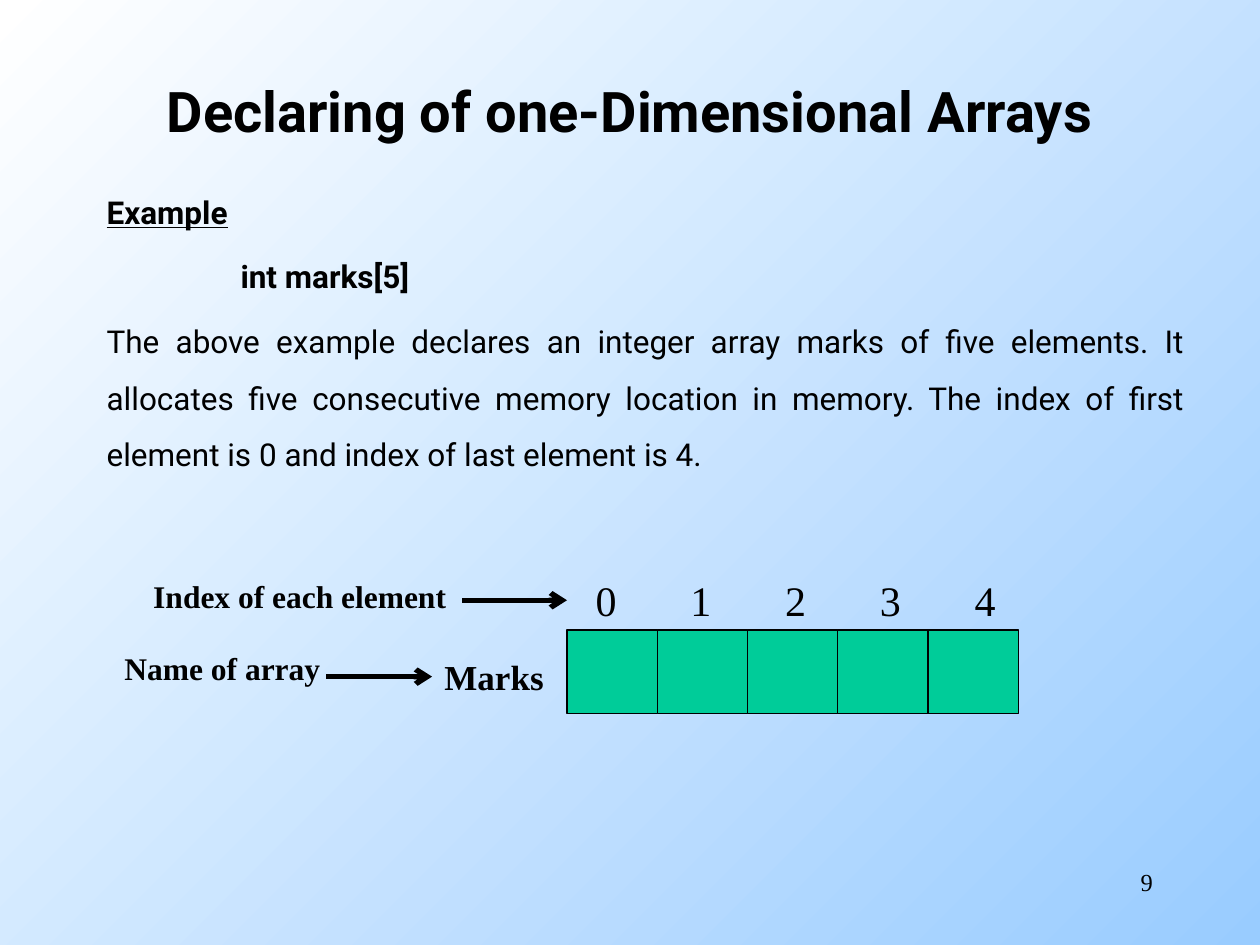
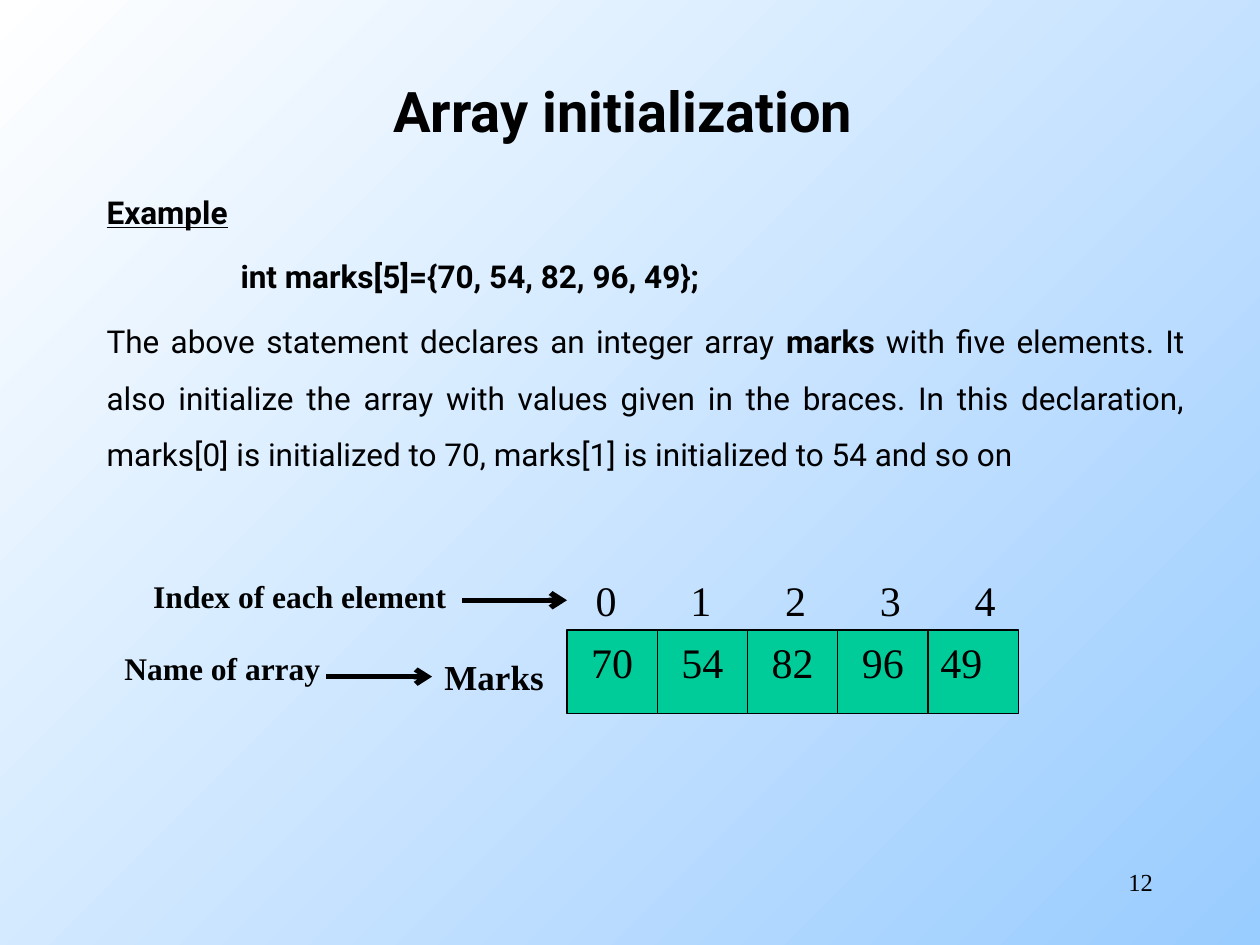
from dataclasses import dataclass

from lxml.etree import SubElement
from pptx import Presentation
from pptx.dml.color import RGBColor
from pptx.enum.shapes import MSO_CONNECTOR, MSO_SHAPE
from pptx.enum.text import MSO_ANCHOR, PP_ALIGN
from pptx.oxml.ns import qn
from pptx.util import Cm, Pt

BLACK = RGBColor(0x00, 0x00, 0x00)
WHITE = RGBColor(0xFF, 0xFF, 0xFF)
SKY = RGBColor(0x99, 0xCC, 0xFF)
GREEN = RGBColor(0x00, 0xCC, 0x99)
SANS = "Roboto"
SERIF = "Times New Roman"


@dataclass(frozen=True)
class Box:
    """A rectangle, in centimetres."""
    left: float
    top: float
    width: float
    height: float

    def place(self) -> tuple:
        return Cm(self.left), Cm(self.top), Cm(self.width), Cm(self.height)


@dataclass(frozen=True)
class Page:
    title: str
    code: str
    prose: tuple  # (text, bold) pairs
    number: str
    marks: tuple = ("",) * 5


TITLE = Box(1.9, 0.64, 21.6, 3.18)
BODY = Box(1.9, 3.38, 22.23, 12.07)
NUMBER = Box(18.21, 17.35, 5.28, 1.27)
CELL = Box(11.43, 12.7, 1.82, 1.69)
INDEX = Box(11.76, 11.46, 0.91, 1.27)
INDEX_STEP = 1.91
NAME = Box(8.71, 13.08, 2.51, 1.12)
LABELS = (
    ("Index of each element", Box(2.84, 11.51, 6.58, 1.02)),
    ("Name of array", Box(2.26, 12.95, 4.45, 1.02)),
)

PAGES = (
    Page(
        "Declaring of one-Dimensional Arrays",
        "int marks[5]",
        (("The above example declares an integer array marks of five elements. "
          "It allocates five consecutive memory location in memory. The index "
          "of first element is 0 and index of last element is 4. ", False),),
        "9",
    ),
    Page(
        "Array initialization ",
        "int marks[5]={70, 54, 82, 96, 49};",
        (("The above statement declares an integer array ", False),
         ("marks", True),
         (" with five elements. It also initialize the array with values given "
          "in the braces. In this declaration, marks[0] is initialized to 70, "
          "marks[1] is initialized to 54 and so on ", False)),
        "12",
        ("70", "54", "82", "96", "49"),
    ),
)


def write(para, text: str, *, size: float = 18, font: str = SERIF,
          bold: bool = False, under: bool = False,
          align=PP_ALIGN.LEFT) -> None:
    """Add one formatted run to a paragraph."""
    para.alignment = align
    run = para.add_run()
    run.text = text
    run.font.name = font
    run.font.size = Pt(size)
    run.font.bold = bold
    run.font.underline = under
    run.font.color.rgb = BLACK


def frame(slide, box: Box, wrap: bool = True):
    shape = slide.shapes.add_textbox(*box.place())
    shape.text_frame.word_wrap = wrap
    return shape


def label(slide, text: str, box: Box, wrap: bool = False, **style):
    shape = frame(slide, box, wrap)
    write(shape.text_frame.paragraphs[0], text, **style)
    return shape


def arrow(slide, start: float, end: float, y: float):
    line = slide.shapes.add_connector(
        MSO_CONNECTOR.STRAIGHT, Cm(start), Cm(y), Cm(end), Cm(y))
    line.line.color.rgb = BLACK
    line.line.width = Pt(3)
    SubElement(line.line._get_or_add_ln(), qn("a:tailEnd"), type="arrow")
    SubElement(line._element.spPr, qn("a:effectLst"))
    return line


def base(slide, page: Page) -> None:
    """Background, title and page number."""
    fill = slide.background.fill
    fill.gradient()
    fill.gradient_angle = 315
    for stop, color in zip(fill.gradient_stops, (WHITE, SKY)):
        stop.color.rgb = color
    label(slide, page.number, NUMBER, wrap=True, size=14, align=PP_ALIGN.RIGHT)
    title = label(slide, page.title, TITLE, wrap=True, size=32, font=SANS,
                  bold=True, align=PP_ALIGN.CENTER)
    title.text_frame.vertical_anchor = MSO_ANCHOR.MIDDLE


def body(slide, page: Page) -> None:
    """Heading, indented code line and explanation."""
    text = frame(slide, BODY).text_frame
    style = dict(font=SANS, align=PP_ALIGN.JUSTIFY)
    head, code, prose = (text.paragraphs[0], text.add_paragraph(),
                         text.add_paragraph())
    write(head, "Example", bold=True, under=True, **style)
    write(code, page.code, bold=True, **style)
    code._p.get_or_add_pPr().set("marL", str(Cm(2.7)))
    for part, bold in page.prose:
        write(prose, part, bold=bold, **style)
    for para in text.paragraphs:
        para.line_spacing = 1.5
    for para in (code, prose):
        para.space_before = Pt(4.5)


def cell(slide, text: str, box: Box, align) -> None:
    shape = slide.shapes.add_shape(MSO_SHAPE.RECTANGLE, *box.place())
    shape.shadow.inherit = False
    shape.fill.solid()
    shape.fill.fore_color.rgb = GREEN
    shape.line.color.rgb = BLACK
    shape.line.width = Pt(0.75)
    shape.text_frame.vertical_anchor = MSO_ANCHOR.TOP
    if text:
        write(shape.text_frame.paragraphs[0], text, size=24, align=align)


def array(slide, marks: tuple) -> None:
    """Row of cells with indexes, labels and arrows."""
    last = len(marks) - 1
    for i, mark in enumerate(marks):
        spot = Box(CELL.left + i * CELL.width, CELL.top, CELL.width, CELL.height)
        cell(slide, mark, spot,
             PP_ALIGN.LEFT if i == last else PP_ALIGN.CENTER)
    for i in range(len(marks)):
        spot = Box(INDEX.left + i * INDEX_STEP, INDEX.top,
                   INDEX.width, INDEX.height)
        label(slide, str(i), spot, size=24)
    name = label(slide, "Marks", NAME, size=20, bold=True)
    for text, box in LABELS:
        label(slide, text, box, bold=True)
    arrow(slide, 9.32, CELL.left, 12.1)
    link = arrow(slide, 6.58, NAME.left, NAME.top + NAME.height / 2)
    link.end_connect(name, 1)


def main() -> None:
    deck = Presentation()
    deck.slide_width, deck.slide_height = Cm(25.4), Cm(19.05)
    for page in PAGES:
        slide = deck.slides.add_slide(deck.slide_layouts[6])
        base(slide, page)
        body(slide, page)
        array(slide, page.marks)
    deck.save("out.pptx")


if __name__ == "__main__":
    main()
